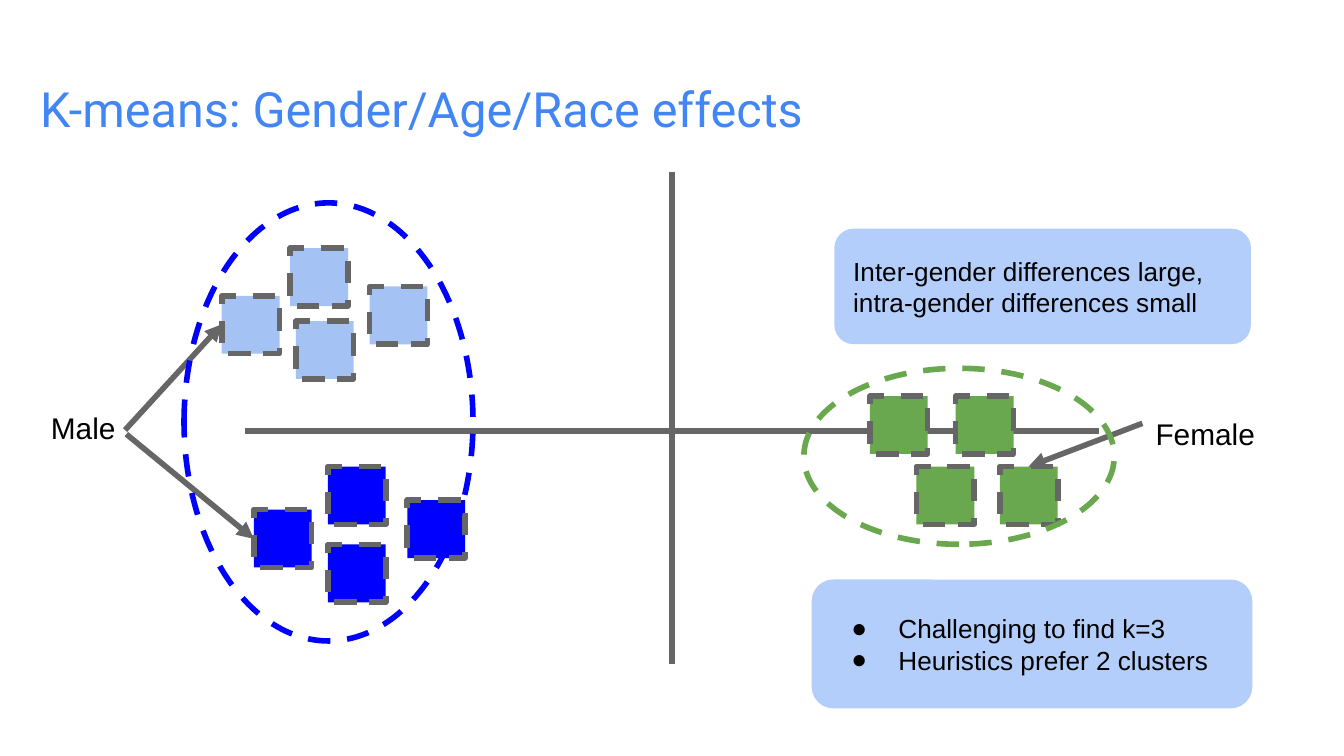
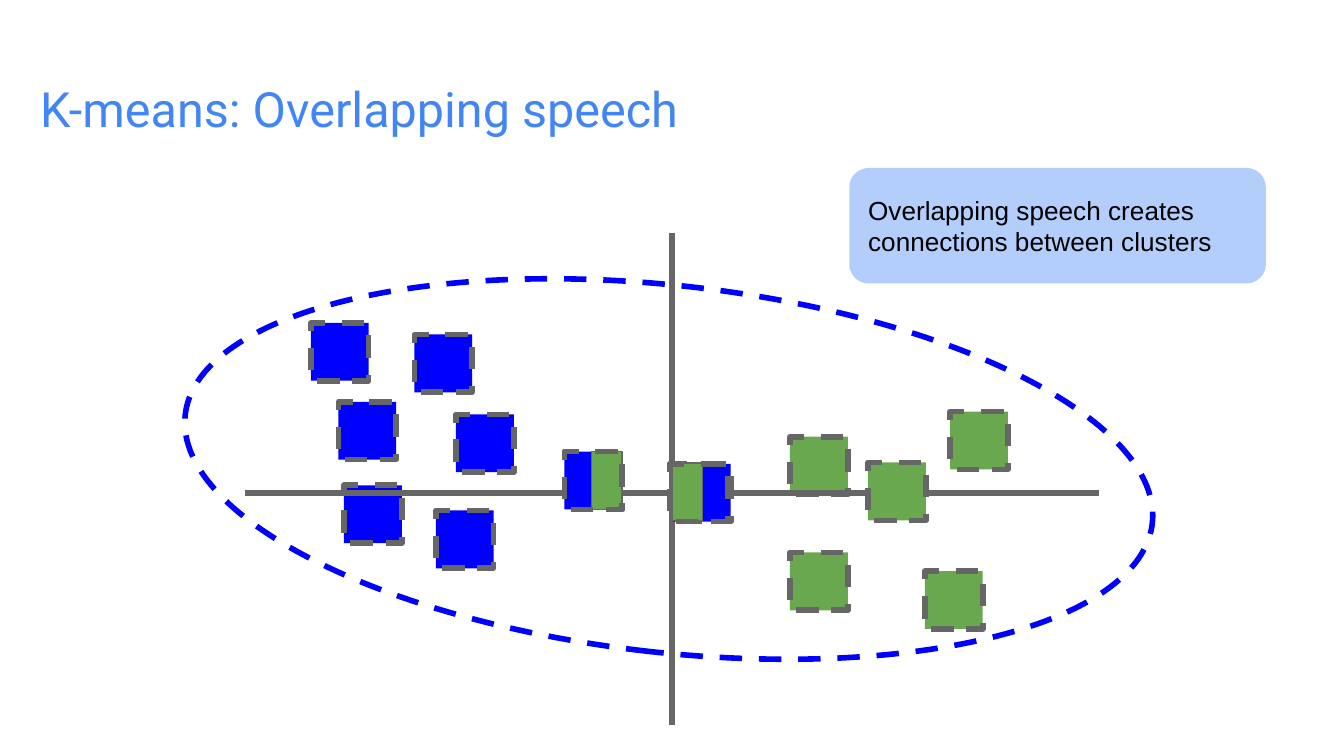
from lxml import etree
from pptx import Presentation
from pptx.dml.color import RGBColor
from pptx.enum.dml import MSO_LINE
from pptx.enum.shapes import MSO_CONNECTOR, MSO_SHAPE
from pptx.enum.text import MSO_ANCHOR, PP_ALIGN
from pptx.oxml.ns import qn
from pptx.util import Pt

RECT, ELLIPSE, ROUNDED = MSO_SHAPE.RECTANGLE, MSO_SHAPE.OVAL, MSO_SHAPE.ROUNDED_RECTANGLE
STRAIGHT, DASH = MSO_CONNECTOR.STRAIGHT, MSO_LINE.DASH
TOP, MIDDLE, LEFT = MSO_ANCHOR.TOP, MSO_ANCHOR.MIDDLE, PP_ALIGN.LEFT

TITLE_BLUE = RGBColor(0x42, 0x85, 0xF4)
GRAY = RGBColor(0x66, 0x66, 0x66)
BLUE = RGBColor(0x00, 0x00, 0xFF)
LIGHT_BLUE = RGBColor(0xA4, 0xC2, 0xF4)
GREEN = RGBColor(0x6A, 0xA8, 0x4F)
PALE_BLUE = RGBColor(0xB3, 0xCE, 0xFB)
BLACK = RGBColor(0x00, 0x00, 0x00)

SIDE = 31
INSET = 7.2


def add_bullet(p):
    """Give a paragraph a round black bullet with a hanging indent."""
    pPr = p._p.get_or_add_pPr()
    pPr.set("marL", str(Pt(36)))
    pPr.set("indent", str(Pt(-25.2)))
    color = etree.SubElement(pPr, qn("a:buClr"))
    etree.SubElement(color, qn("a:srgbClr"), val=str(BLACK))
    etree.SubElement(pPr, qn("a:buFont"), typeface="Arial")
    etree.SubElement(pPr, qn("a:buChar"), char="●")


def write(sp, text, size=14, font="Arial", color=BLACK, anchor=TOP, bullets=False):
    """Write text into a shape, one paragraph per line."""
    tf = sp.text_frame
    tf.word_wrap = True
    tf.vertical_anchor = anchor
    tf.margin_left = tf.margin_right = tf.margin_top = tf.margin_bottom = Pt(INSET)
    for i, line in enumerate(text.split("\n")):
        p = tf.add_paragraph() if i else tf.paragraphs[0]
        p.alignment = LEFT
        if bullets:
            add_bullet(p)
        r = p.add_run()
        r.text = line
        r.font.size = Pt(size)
        r.font.name = font
        r.font.color.rgb = color


def add_label(s, text, x, y, w, h, **style):
    """Add a text box."""
    write(s.shapes.add_textbox(Pt(x), Pt(y), Pt(w), Pt(h)), text, **style)


def add_figure(s, kind, x, y, w, h, fill=None, line=None, width=3, dash=DASH, rotation=0):
    """Add a preset shape with optional fill and outline."""
    sp = s.shapes.add_shape(kind, Pt(x), Pt(y), Pt(w), Pt(h))
    sp.shadow.inherit = False
    sp.rotation = rotation
    if fill is None:
        sp.fill.background()
    else:
        sp.fill.solid()
        sp.fill.fore_color.rgb = fill
    if line is None:
        sp.line.fill.background()
    else:
        sp.line.color.rgb = line
        sp.line.width = Pt(width)
        sp.line.dash_style = dash
    return sp


def add_segments(s, fill, corners):
    """Add dashed speech segments of one colour at the given corners."""
    for x, y in corners:
        add_figure(s, RECT, x, y, SIDE, SIDE, fill=fill, line=GRAY)


def add_cluster(s, x, y, w, h, color, rotation=0):
    """Add the dashed ellipse around a cluster."""
    add_figure(s, ELLIPSE, x, y, w, h, line=color, rotation=rotation)


def add_callout(s, text, x, y, w=223.2, h=61.9, **style):
    """Add a rounded note."""
    sp = add_figure(s, ROUNDED, x, y, w, h, fill=PALE_BLUE)
    write(sp, text, anchor=MIDDLE, **style)


def add_line(s, x1, y1, x2, y2, arrow=False):
    """Add a gray line, with an arrowhead at its end if asked."""
    cn = s.shapes.add_connector(STRAIGHT, Pt(x1), Pt(y1), Pt(x2), Pt(y2))
    cn.line.color.rgb = GRAY
    cn.line.width = Pt(3)
    if arrow:
        etree.SubElement(cn.line._get_or_add_ln(), qn("a:tailEnd"), type="triangle")
    etree.SubElement(cn._element.spPr, qn("a:effectLst"))


def add_axes(s, y):
    """Add the two axes, crossing at mid-width at height y."""
    add_line(s, 131, y, 589, y)
    add_line(s, 360, y + 124.5, 360, y - 139)


def add_slide(prs, title):
    """Add a blank slide with its title."""
    s = prs.slides.add_slide(prs.slide_layouts[6])
    add_label(s, title, 14.4, 35.3, 691.2, 45.4, size=26, font="Roboto",
              color=TITLE_BLUE, anchor=MIDDLE)
    return s


def build_effects(prs):
    """Build the slide on gender, age and race effects."""
    s = add_slide(prs, "K-means: Gender/Age/Race effects")
    add_axes(s, 231)
    add_segments(s, LIGHT_BLUE, [(155.5, 133), (198, 153.5), (118.8, 158.5), (158.5, 172)])
    add_segments(s, BLUE, [(218.2, 268), (175.7, 250), (175.7, 291.7), (136, 273)])
    add_segments(s, GREEN, [(535.7, 250), (491, 250)])
    add_label(s, "Male", 20.2, 212.4, 69, 23, size=16)
    add_line(s, 67, 230.4, 118.8, 173.8, arrow=True)
    add_line(s, 67.7, 232.6, 136, 288.7, arrow=True)
    add_label(s, "Female", 612, 215.5, 69, 23, size=16)
    add_line(s, 612, 226.8, 551, 250, arrow=True)
    add_segments(s, GREEN, [(512, 212.2), (466, 212.2)])
    add_cluster(s, 98.6, 108.7, 154.8, 234.7, BLUE)
    add_cluster(s, 466.6, 161.3, 94.3, 166.3, GREEN, rotation=270)
    add_callout(s, "Challenging to find k=3\nHeuristics prefer 2 clusters",
                434.9, 310.5, w=236, h=69, bullets=True)
    add_callout(s, "Inter-gender differences large, intra-gender differences small", 447, 122.5)


def build_overlap(prs):
    """Build the slide on overlapping speech."""
    s = add_slide(prs, "K-means: Overlapping speech")
    add_callout(s, "Overlapping speech creates connections between clusters", 455, 90)
    add_segments(s, GREEN, [(423.2, 234), (423.2, 296), (495.5, 306), (509, 220.5)])
    add_segments(s, BLUE, [(222, 179.2), (244.3, 222), (233.5, 273.5),
                           (181.3, 215.3), (166.5, 173), (184.3, 260)])
    add_axes(s, 264)
    add_segments(s, BLUE, [(302.4, 242), (360.5, 248.5)])
    for x, y in [(316.8, 242), (360, 248)]:
        add_figure(s, RECT, x, y, 16.5, SIDE, fill=GREEN, line=GRAY, width=0.75, dash=None)
    add_segments(s, None, [(302.4, 242), (358.7, 248.5)])
    add_segments(s, GREEN, [(465, 247.8)])
    add_cluster(s, 260, -9.4, 196.6, 521.3, BLUE, rotation=276.4)


def main():
    """Build and save the deck."""
    prs = Presentation()
    prs.slide_width, prs.slide_height = Pt(720), Pt(405)
    build_effects(prs)
    build_overlap(prs)
    prs.save("out.pptx")


if __name__ == "__main__":
    main()
